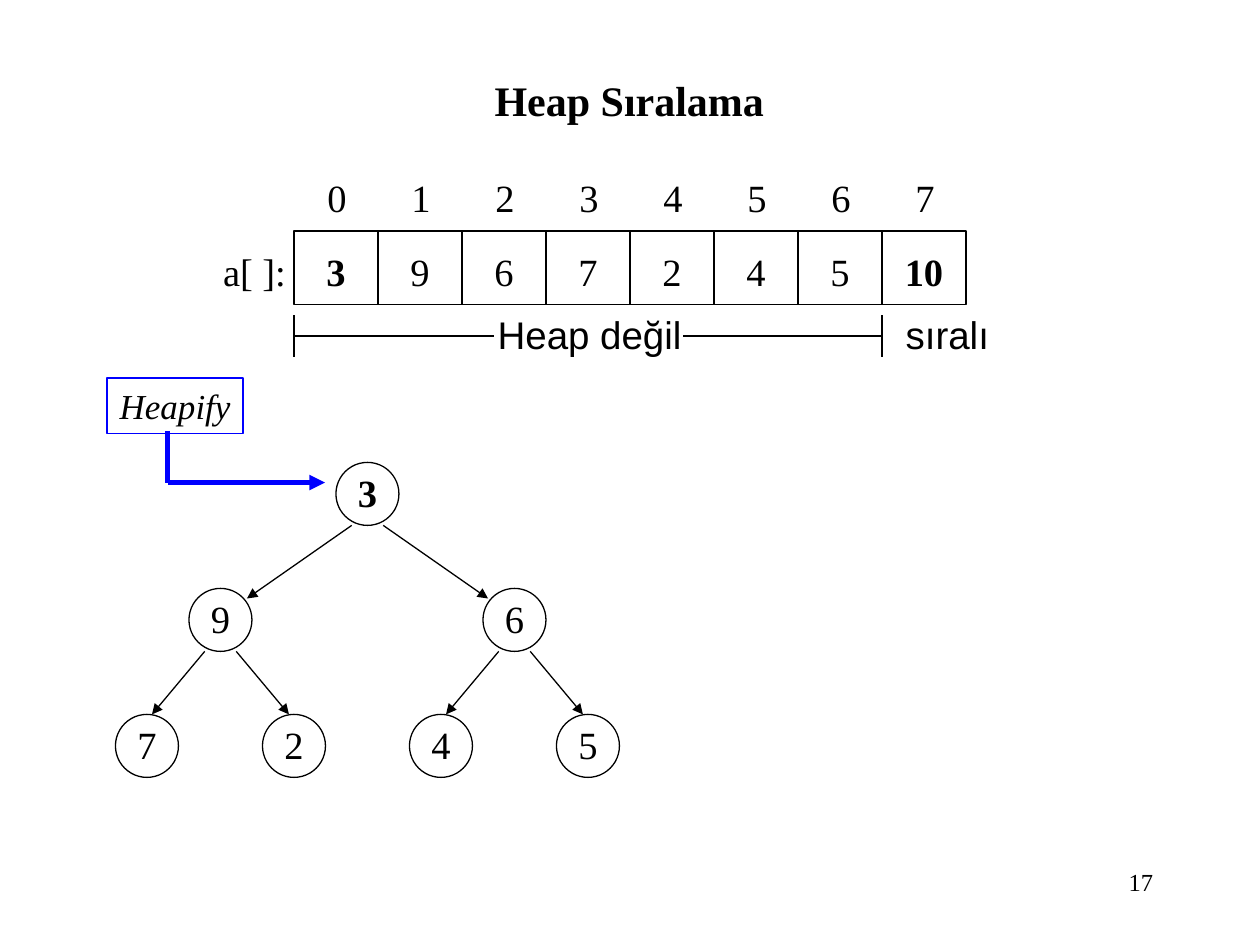
from dataclasses import dataclass

from lxml.etree import SubElement
from pptx import Presentation
from pptx.dml.color import RGBColor
from pptx.enum.shapes import MSO_CONNECTOR, MSO_SHAPE
from pptx.enum.text import MSO_ANCHOR, MSO_AUTO_SIZE, PP_ALIGN
from pptx.oxml.ns import qn
from pptx.shapes.autoshape import Shape
from pptx.slide import Slide
from pptx.util import Inches, Pt

BLACK = RGBColor(0x00, 0x00, 0x00)
BLUE = RGBColor(0x00, 0x00, 0xFF)
SERIF = "Times New Roman"
SANS = "Arial"

VALUES = [3, 9, 6, 7, 2, 4, 5, 10]
HIGHLIGHTED = {0, 7}
ARRAY_LEFT, ARRAY_TOP = 7 / 3, 11 / 6
CELL_W, CELL_H = 2 / 3, 7 / 12
SORTED_LEFT = ARRAY_LEFT + 7 * CELL_W
BRACKET_Y = 8 / 3
NODE_SIZE = 0.5
LEAF_X, LEAF_GAP = 7 / 6, 7 / 6
ROOT_Y = 3.92
TREE_DEPTH = 3


@dataclass
class Box:
    left: float
    top: float
    width: float
    height: float


@dataclass
class Node:
    index: int
    x: float
    y: float
    level: int


@dataclass
class Line:
    x1: float
    y1: float
    x2: float
    y2: float
    color: RGBColor = BLACK
    width: float = 0.75
    arrow: bool = False


def write(sp: Shape, text: str, align: PP_ALIGN = PP_ALIGN.CENTER,
          anchor: MSO_ANCHOR = MSO_ANCHOR.MIDDLE, wrap: bool = False, **font: object) -> None:
    tf = sp.text_frame
    tf.word_wrap = wrap
    tf.auto_size = MSO_AUTO_SIZE.NONE if wrap else MSO_AUTO_SIZE.SHAPE_TO_FIT_TEXT
    tf.vertical_anchor = anchor
    p = tf.paragraphs[0]
    p.alignment = align
    r = p.add_run()
    r.text = text
    r.font.color.rgb = BLACK
    formats = {"name": SERIF, "size": Pt(22), **font}
    for name, value in formats.items():
        setattr(r.font, name, value)


def add_text(s: Slide, box: Box, text: str, **style: object) -> None:
    sp = s.shapes.add_textbox(Inches(box.left), Inches(box.top), Inches(box.width), Inches(box.height))
    write(sp, text, **style)


def add_outline(s: Slide, kind: MSO_SHAPE, box: Box, color: RGBColor = BLACK) -> Shape:
    sp = s.shapes.add_shape(kind, Inches(box.left), Inches(box.top), Inches(box.width), Inches(box.height))
    sp.shadow.inherit = False
    sp.fill.background()
    sp.line.color.rgb = color
    sp.line.width = Pt(0.75)
    return sp


def add_line(s: Slide, line: Line) -> None:
    c = s.shapes.add_connector(MSO_CONNECTOR.STRAIGHT, Inches(line.x1), Inches(line.y1),
                               Inches(line.x2), Inches(line.y2))
    c.line.color.rgb = line.color
    c.line.width = Pt(line.width)
    if line.arrow:
        SubElement(c.line._get_or_add_ln(), qn("a:tailEnd"), type="triangle")
    SubElement(c._element.spPr, qn("a:effectLst"))


def add_value(s: Slide, index: int, cx: float, top: float) -> None:
    text = str(VALUES[index])
    width = 0.15 + 0.2 * len(text)
    add_text(s, Box(cx - width / 2, top, width, 0.47), text, bold=index in HIGHLIGHTED)


def add_array(s: Slide) -> None:
    for i in range(len(VALUES)):
        left = ARRAY_LEFT + i * CELL_W
        cx = left + CELL_W / 2
        add_outline(s, MSO_SHAPE.RECTANGLE, Box(left, ARRAY_TOP, CELL_W, CELL_H))
        add_value(s, i, cx, 1.92)
        add_text(s, Box(cx - 1 / 6, 1.33, 1 / 3, 0.47), str(i), anchor=MSO_ANCHOR.TOP, wrap=True)
    add_text(s, Box(1.67, 1.92, 0.7, 0.47), "a[ ]:")


def add_bracket(s: Slide) -> None:
    add_text(s, Box(3.85, 2.42, 1.66, 0.47), "Heap değil", name=SANS)
    for x, inner_x in ((ARRAY_LEFT, 3.92), (SORTED_LEFT, 5.42)):
        add_line(s, Line(x, BRACKET_Y - 1 / 6, x, BRACKET_Y + 1 / 6))
        add_line(s, Line(x, BRACKET_Y, inner_x, BRACKET_Y))
    add_text(s, Box(7.09, 2.42, 0.86, 0.47), "sıralı", align=PP_ALIGN.LEFT, name=SANS)


def tree_nodes() -> list[Node]:
    nodes = []
    for level in range(TREE_DEPTH):
        span = 2 ** (TREE_DEPTH - 1 - level)
        for k in range(2 ** level):
            x = LEAF_X + LEAF_GAP * (span * k + (span - 1) / 2)
            nodes.append(Node(2 ** level - 1 + k, x, ROOT_Y + level, level))
    return nodes


def add_edge(s: Slide, parent: Node, child: Node) -> None:
    side = 1 if child.x > parent.x else -1
    dx, dy = (0.21, 0.17) if child.level == 1 else (0.04, 0.25)
    add_line(s, Line(parent.x + side * NODE_SIZE / 4, parent.y + NODE_SIZE / 2,
                     child.x - side * dx, child.y - dy, arrow=True))


def add_tree(s: Slide) -> None:
    nodes = tree_nodes()
    for node in nodes:
        top = node.y - NODE_SIZE / 2
        add_outline(s, MSO_SHAPE.OVAL, Box(node.x - NODE_SIZE / 2, top, NODE_SIZE, NODE_SIZE))
        add_value(s, node.index, node.x, top)
    for node in nodes[1:]:
        add_edge(s, nodes[(node.index - 1) // 2], node)


def add_heapify(s: Slide) -> None:
    sp = add_outline(s, MSO_SHAPE.RECTANGLE, Box(0.85, 3, 1.08, 0.44), BLUE)
    write(sp, "Heapify", size=Pt(20), italic=True)
    add_line(s, Line(1.33, 3.42, 1.33, 3.83, BLUE, 3))
    add_line(s, Line(1.33, 3.83, 2.58, 3.83, BLUE, 3, arrow=True))


def main() -> None:
    prs = Presentation()
    prs.slide_width, prs.slide_height = Inches(10), Inches(7.5)
    s = prs.slides.add_slide(prs.slide_layouts[6])
    add_text(s, Box(7.17, 6.83, 2.08, 0.5), "17", align=PP_ALIGN.RIGHT,
             anchor=MSO_ANCHOR.TOP, wrap=True, size=Pt(14))
    add_text(s, Box(0.58, 0.5, 8.83, 0.58), "Heap Sıralama", wrap=True, size=Pt(24), bold=True)
    add_tree(s)
    add_array(s)
    add_bracket(s)
    add_heapify(s)
    prs.save("out.pptx")


if __name__ == "__main__":
    main()
